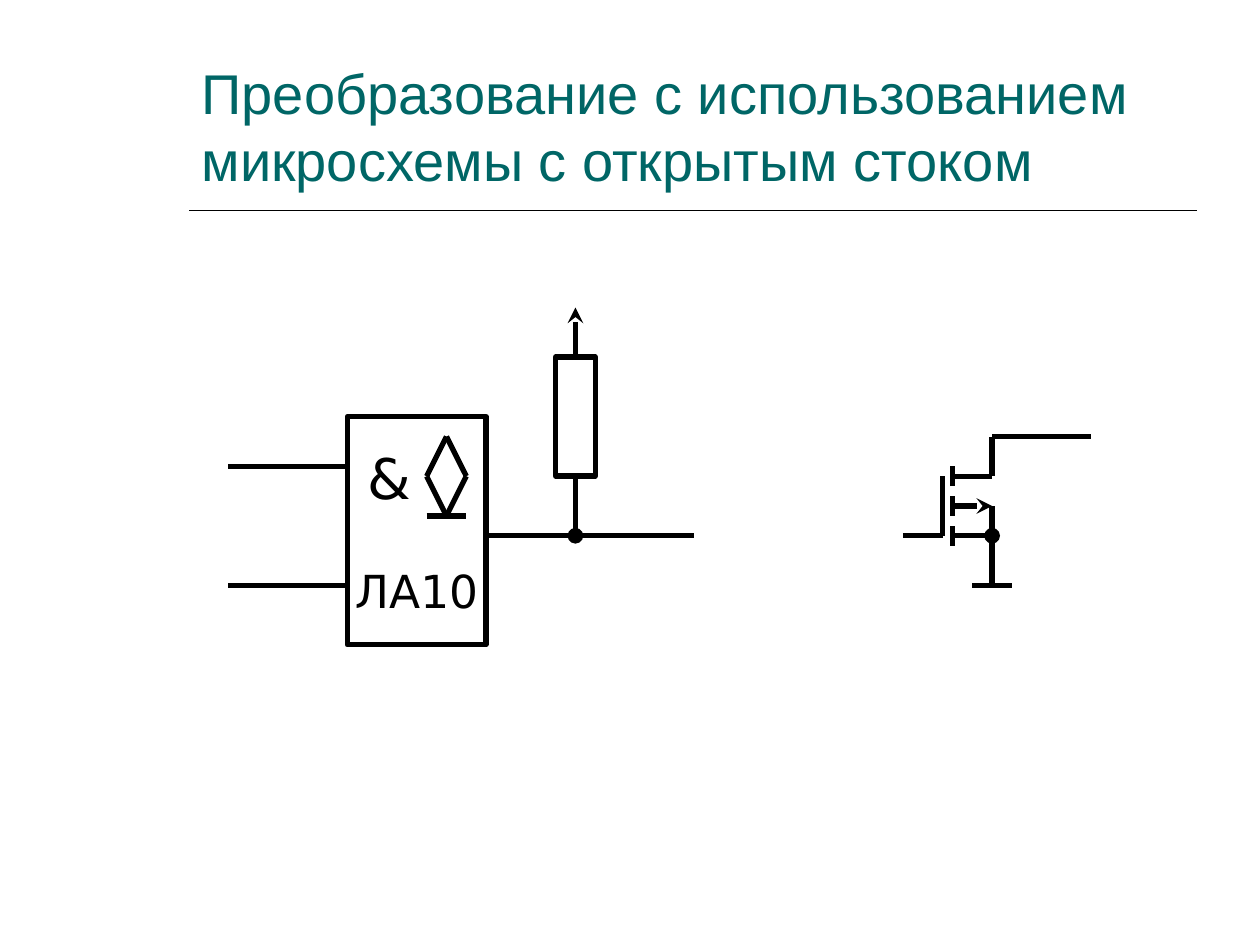
from dataclasses import dataclass
from itertools import pairwise

from pptx import Presentation
from pptx import util as u
from pptx.dml.color import RGBColor
from pptx.enum import shapes, text
from pptx.oxml.ns import qn
from lxml import etree


@dataclass(frozen=True)
class Theme:
    ink: RGBColor = RGBColor(0, 0, 0)
    paper: RGBColor = RGBColor(255, 255, 255)
    accent: RGBColor = RGBColor(0, 0x66, 0x66)
    title_font: str = "Arial"
    symbol_font: str = "DejaVu Sans"
    title_size: u.Pt = u.Pt(32)
    gate_size: u.Pt = u.Pt(32)
    type_size: u.Pt = u.Pt(26)
    wire: u.Pt = u.Pt(3)
    rule: u.Pt = u.Pt(1)


T = Theme()
CELL = u.Mm(2)  # drawing grid of the circuit


def set_font(font, name, size, color):
    font.name, font.size = name, size
    font.color.rgb = color


def add_line(s, start, end, width=T.wire, head=None, tail=None):
    """Draw a straight line between two points; head sits at start, tail at end."""
    cxn = s.shapes.add_connector(shapes.MSO_CONNECTOR.STRAIGHT, *start, *end)
    cxn.line.color.rgb = T.ink
    cxn.line.width = width
    ln = cxn.line._get_or_add_ln()
    for tag, kind in (("a:headEnd", head), ("a:tailEnd", tail)):
        if kind:
            etree.SubElement(ln, qn(tag), type=kind)
    etree.SubElement(cxn._element.spPr, qn("a:effectLst"))


def add_wire(s, *points, head=None, tail=None):
    """Join grid points (column, row) one after another."""
    for (x1, y1), (x2, y2) in pairwise(points):
        add_line(s, (x1 * CELL, y1 * CELL), (x2 * CELL, y2 * CELL), head=head, tail=tail)


def add_box(s, col, row, cols, rows):
    sp = s.shapes.add_shape(shapes.MSO_SHAPE.RECTANGLE,
                            *(n * CELL for n in (col, row, cols, rows)))
    sp.shadow.inherit = False
    sp.fill.solid()
    sp.fill.fore_color.rgb = T.paper
    sp.line.color.rgb = T.ink
    sp.line.width = T.wire
    return sp


def add_title(s, prs):
    title = s.shapes.title
    w, h = prs.slide_width, prs.slide_height
    title.left, title.top = int(w * 0.15), u.Inches(0.33)
    title.width, title.height = int(w * 0.8), u.Inches(1.25)
    tf = title.text_frame
    tf.text = "Преобразование с использованием микросхемы с открытым стоком"
    tf.vertical_anchor = text.MSO_ANCHOR.BOTTOM
    tf.auto_size = text.MSO_AUTO_SIZE.NONE
    p = tf.paragraphs[0]
    p.alignment = text.PP_ALIGN.LEFT
    set_font(p.font, T.title_font, T.title_size, T.accent)
    y = u.Inches(1.67)
    add_line(s, (title.left, y), (title.left + title.width, y), T.rule)


def add_gate(s):
    tf = add_box(s, 35, 42, 14, 23).text_frame
    tf.word_wrap = True
    tf.margin_left = tf.margin_right = 0
    tf.vertical_anchor = text.MSO_ANCHOR.MIDDLE
    symbol, name = tf.paragraphs[0], tf.add_paragraph()
    symbol.text, name.text = "&", "ЛА10"
    symbol.alignment = text.PP_ALIGN.LEFT
    symbol._p.get_or_add_pPr().set("marL", str(2 * CELL))
    name.alignment = text.PP_ALIGN.CENTER
    name.space_before = u.Pt(30)
    set_font(symbol.font, T.symbol_font, T.gate_size, T.ink)
    set_font(name.font, T.symbol_font, T.type_size, T.ink)

    # Open-drain mark
    add_wire(s, (43, 48), (45, 44), (47, 48), (45, 52), (43, 48))
    add_wire(s, (43, 52), (47, 52))

    for row in (47, 59):
        add_wire(s, (23, row), (35, row))
    add_wire(s, (49, 54), (70, 54))


def add_pull_up(s):
    add_box(s, 56, 36, 4, 12)
    add_wire(s, (58, 48), (58, 54), tail="oval")
    add_wire(s, (58, 31), (58, 36), head="stealth")


def add_transistor(s):
    gate, channel, drain = 95, 96, 100
    add_wire(s, (91, 54), (gate, 54), (gate, 48))
    for row, tail in ((54, "oval"), (51, "stealth"), (48, None)):
        add_wire(s, (channel, row + 1), (channel, row - 1))
        add_wire(s, (channel, row), (drain, row), tail=tail)
    add_wire(s, (drain, 59), (drain, 51))
    add_wire(s, (98, 59), (102, 59))
    add_wire(s, (drain, 48), (drain, 44), (110, 44))


def main():
    prs = Presentation()
    prs.slide_width, prs.slide_height = u.Inches(10), u.Inches(7.5)
    s = prs.slides.add_slide(prs.slide_layouts[5])
    add_title(s, prs)
    add_gate(s)
    add_pull_up(s)
    add_transistor(s)
    prs.save("out.pptx")


if __name__ == "__main__":
    main()
